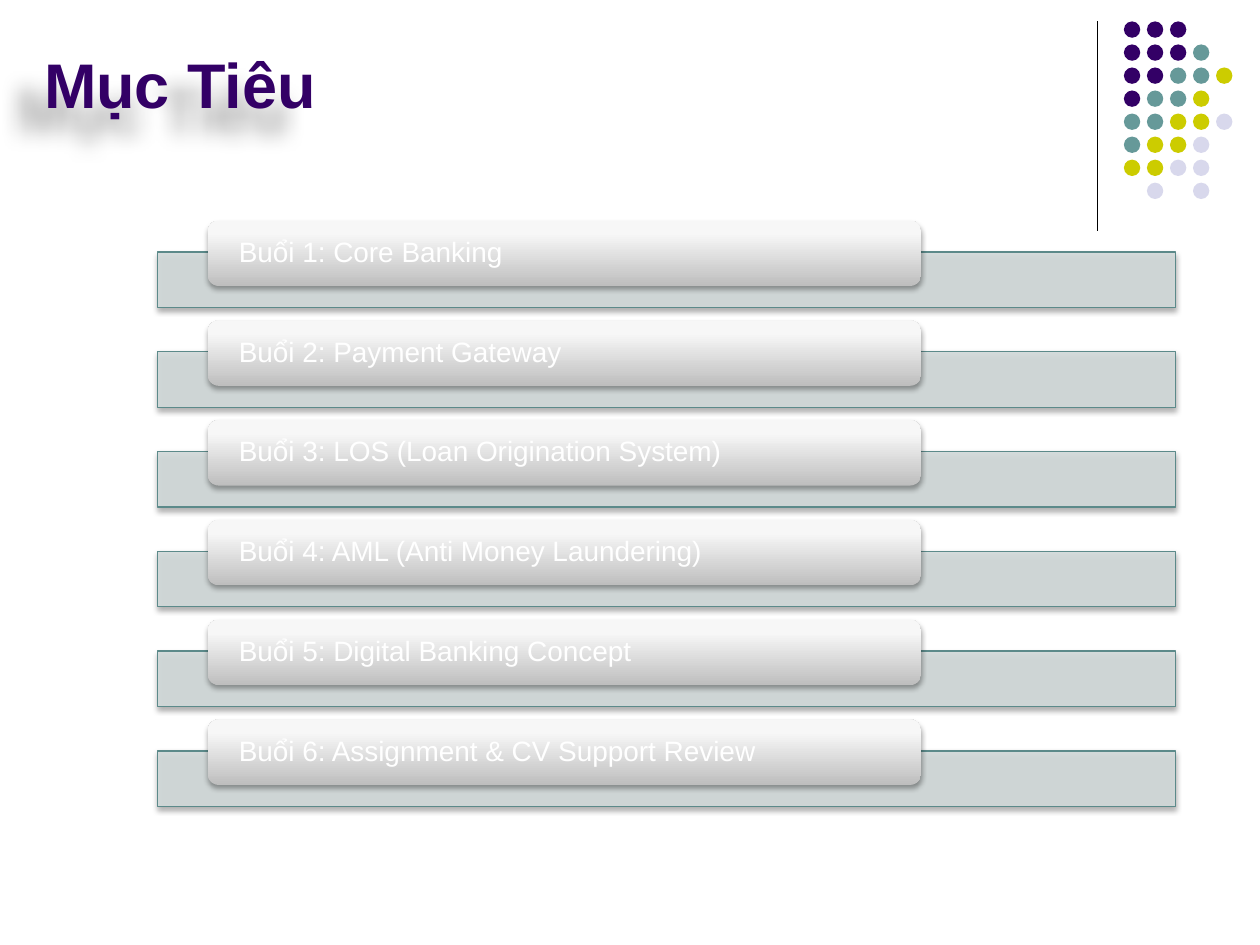
from lxml import etree
from pptx import Presentation
from pptx.dml.color import RGBColor
from pptx.enum import shapes, text
from pptx.oxml import ns
from pptx.util import Inches, Pt

FONT = "Arial"
DOT_COLORS = {"P": "330066", "T": "669999", "Y": "CCCC00", "L": "D8D8EC"}
DOT_ROWS = ["PPP", "PPPT", "PPTTY", "PTTY", "TTYYL", "TYYL", "YYLL", " L L"]
DOT_GAP = 1.28 / 7
SESSIONS = [
    "Buổi 1: Core Banking",
    "Buổi 2: Payment Gateway",
    "Buổi 3: LOS (Loan Origination System)",
    "Buổi 4: AML (Anti Money Laundering)",
    "Buổi 5: Digital Banking Concept",
    "Buổi 6: Assignment & CV Support Review",
]
FIRST_TOP, LAST_TOP = 1.75, 5.71


def rgb(value):
    """Return a colour from a hex string."""
    return RGBColor.from_string(value)


def add_shadow(sp, blur, dist, angle, alpha):
    """Give a shape a soft black shadow."""
    sp.shadow.inherit = False
    effects = sp._element.spPr.find(ns.qn("a:effectLst"))
    shadow = etree.SubElement(
        effects, ns.qn("a:outerShdw"), blurRad=str(Pt(blur)), dist=str(Pt(dist)),
        dir=str(angle * 60000), algn="ctr", rotWithShape="0")
    color = etree.SubElement(shadow, ns.qn("a:srgbClr"), val="000000")
    etree.SubElement(color, ns.qn("a:alpha"), val=str(alpha * 1000))


def add_shape(parent, kind, left, top, width, height, fill=None, line=None):
    """Add a preset shape without a shadow."""
    sp = parent.shapes.add_shape(
        kind, Inches(left), Inches(top), Inches(width), Inches(height))
    sp.shadow.inherit = False
    if fill:
        sp.fill.solid()
        sp.fill.fore_color.rgb = rgb(fill)
    if line:
        sp.line.color.rgb = rgb(line)
        sp.line.width = Pt(0.75)
    else:
        sp.line.fill.background()
    return sp


def set_text(sp, content, size, color, bold=False, anchor=text.MSO_ANCHOR.MIDDLE,
             inset=(0.1, 0.05), spacing=1.0):
    """Write one left-aligned paragraph into a shape."""
    tf = sp.text_frame
    tf.word_wrap = True
    tf.auto_size = text.MSO_AUTO_SIZE.NONE
    tf.vertical_anchor = anchor
    tf.margin_left = tf.margin_right = Inches(inset[0])
    tf.margin_top = tf.margin_bottom = Inches(inset[1])
    p = tf.paragraphs[0]
    p.alignment = text.PP_ALIGN.LEFT
    p.line_spacing = spacing
    r = p.add_run()
    r.text = content
    r.font.name = FONT
    r.font.size = Pt(size)
    r.font.bold = bold
    r.font.color.rgb = rgb(color)


def add_title(s, content):
    """Place and format the title placeholder."""
    sp = s.shapes.title
    sp.left, sp.top = Inches(0.25), Inches(0.25)
    sp.width, sp.height = Inches(8.42), Inches(0.76)
    sp.fill.background()
    add_shadow(sp, blur=12, dist=21, angle=139, alpha=35)
    set_text(sp, content, 36, "330066", bold=True, anchor=text.MSO_ANCHOR.BOTTOM)


def add_divider(s):
    """Add the thin vertical line beside the dots."""
    line = s.shapes.add_connector(
        shapes.MSO_CONNECTOR.STRAIGHT,
        Inches(8.71), Inches(0.17), Inches(8.71), Inches(1.83))
    line.line.color.rgb = rgb("000000")
    line.line.width = Pt(0.75)
    etree.SubElement(line._element.spPr, ns.qn("a:effectLst"))


def add_dots(s):
    """Add the grouped grid of coloured dots."""
    group = s.shapes.add_group_shape()
    for row, codes in enumerate(DOT_ROWS):
        for col, code in enumerate(codes):
            if code in DOT_COLORS:
                add_shape(group, shapes.MSO_SHAPE.OVAL, 8.92 + col * DOT_GAP,
                          0.17 + row * DOT_GAP, 0.13, 0.13, DOT_COLORS[code])


def add_session(group, top, content):
    """Add a bar with a labelled pill over its upper edge."""
    bar = add_shape(group, shapes.MSO_SHAPE.RECTANGLE, 1.25, top + 0.25, 8.08, 0.44,
                    "D2DADA", "5C8A8A")
    color = bar._element.spPr.find(ns.qn("a:solidFill"))[0]
    etree.SubElement(color, ns.qn("a:alpha"), val="90000")
    pill = add_shape(group, shapes.MSO_SHAPE.ROUNDED_RECTANGLE, 1.65, top, 5.66, 0.52)
    pill.fill.gradient()
    pill.fill.gradient_angle = 90
    for stop, position, shade in zip(pill.fill.gradient_stops, (0, 0.8),
                                     ("BEBEBE", "F7F7F7")):
        stop.position = position
        stop.color.rgb = rgb(shade)
    for sp in (bar, pill):
        add_shadow(sp, blur=3.1, dist=1.8, angle=90, alpha=35)
    set_text(pill, content, 16, "FFFFFF", inset=(0.22, 0), spacing=0.9)


def main():
    """Build and save the slide."""
    prs = Presentation()
    prs.slide_width, prs.slide_height = Inches(10), Inches(7.5)
    s = prs.slides.add_slide(prs.slide_layouts[5])
    add_divider(s)
    add_dots(s)
    add_title(s, "Mục Tiêu")
    group = s.shapes.add_group_shape()
    pitch = (LAST_TOP - FIRST_TOP) / (len(SESSIONS) - 1)
    for i, content in enumerate(SESSIONS):
        add_session(group, FIRST_TOP + i * pitch, content)
    prs.save("out.pptx")


if __name__ == "__main__":
    main()
